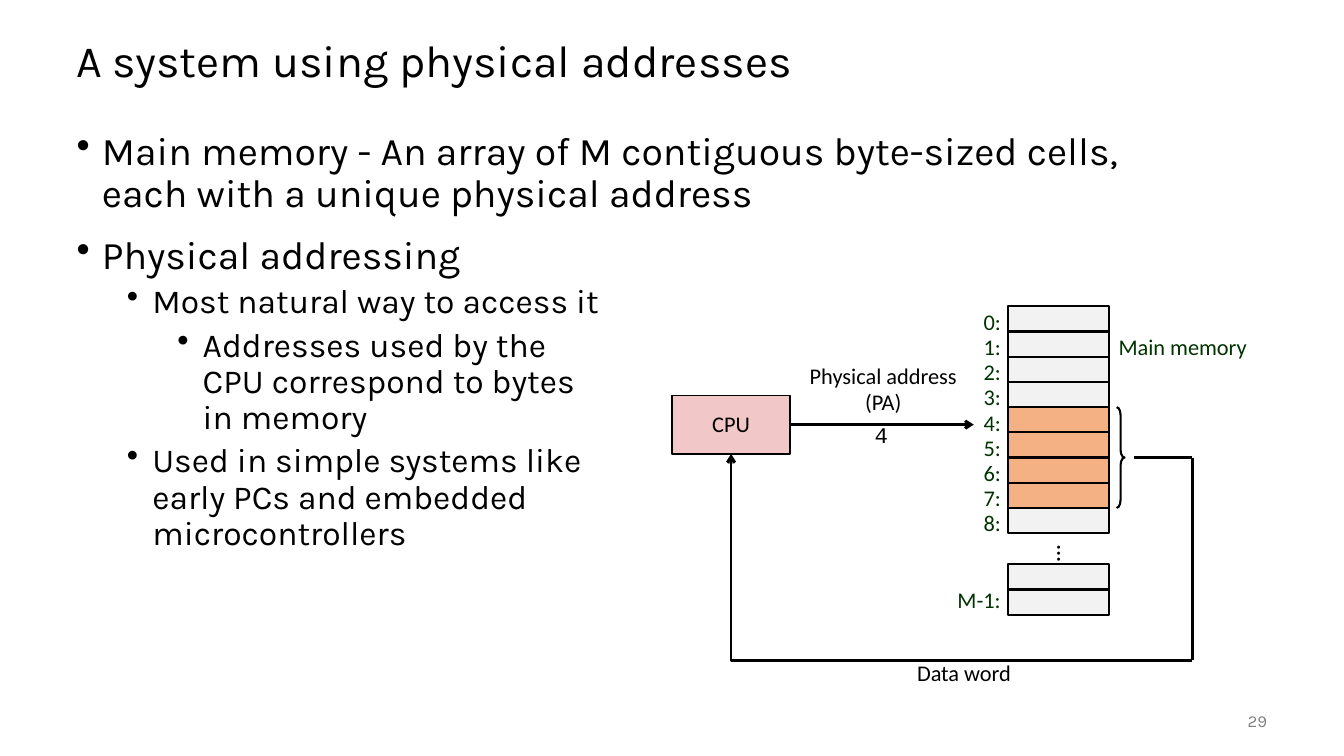
from dataclasses import dataclass

from lxml.etree import SubElement
from pptx import Presentation
from pptx.dml.color import RGBColor
from pptx.enum.shapes import MSO_CONNECTOR as Link, MSO_SHAPE as Shape
from pptx.enum.text import MSO_ANCHOR as Anchor, PP_ALIGN as Align
from pptx.oxml.ns import qn
from pptx.util import Cm, Pt


@dataclass(frozen=True)
class Theme:
    black: str = "000000"
    address: str = "003300"
    cpu: str = "F1C7C7"
    cell: str = "F2F2F2"
    word: str = "F4B183"
    muted: str = "808080"
    text_font: str = "Karla"
    label_font: str = "Calibri"
    digit_font: str = "Courier New"
    title: int = 32
    body: tuple = (28, 24, 24)
    label: int = 16
    dots: int = 18
    footer: int = 12


THEME = Theme()
CELL_W = Cm(2.54)
CELL_H = Cm(2.54) // 4
MEMORY_X, MEMORY_Y = Cm(25.4), Cm(7.72)
LAST_CELLS_Y = Cm(14.22)
WORD_CELLS = range(4, 8)
BULLETS = [
    (0, "Main memory - An array of M contiguous byte-sized cells, "
        "each with a unique physical address"),
    (0, "Physical addressing"),
    (1, "Most natural way to access it"),
    (2, "Addresses used by the\nCPU correspond to bytes\nin memory"),
    (1, "Used in simple systems like\nearly PCs and embedded\nmicrocontrollers"),
]


def apply(target, values):
    for name, value in values.items():
        setattr(target, name, value)


def write(paragraph, text, size, font, color=THEME.black, **layout):
    paragraph.text = text
    apply(paragraph, layout)
    for run in paragraph.runs:
        apply(run.font, {"size": Pt(size), "name": font})
        run.font.color.rgb = RGBColor.from_string(color)


def add_text(slide, box, text, size=THEME.label, font=THEME.label_font,
             color=THEME.black, wrap=False, anchor=Anchor.MIDDLE, **layout):
    frame = slide.shapes.add_textbox(*box).text_frame
    apply(frame, {"word_wrap": wrap, "vertical_anchor": anchor})
    for i, line in enumerate(text.split("\n")):
        paragraph = frame.add_paragraph() if i else frame.paragraphs[0]
        write(paragraph, line, size, font, color, **layout)
    return frame


def add_bullets(slide, box):
    frame = slide.shapes.add_textbox(*box).text_frame
    frame.word_wrap = True
    for i, (level, text) in enumerate(BULLETS):
        paragraph = frame.add_paragraph() if i else frame.paragraphs[0]
        properties = paragraph._p.get_or_add_pPr()
        properties.set("marL", str(Cm(0.64 + 1.27 * level)))
        properties.set("indent", str(-Cm(0.64)))
        SubElement(properties, qn("a:buChar"), char="•")
        before = 0 if i == 0 else 5 if level else 14
        write(paragraph, text, THEME.body[level], THEME.text_font,
              level=level, line_spacing=0.9, space_before=Pt(before))


def add_outlined(slide, kind, box, fill=None, width=1.5):
    shape = slide.shapes.add_shape(kind, *box)
    shape.shadow.inherit = False
    if fill:
        shape.fill.solid()
        shape.fill.fore_color.rgb = RGBColor.from_string(fill)
    else:
        shape.fill.background()
    shape.line.color.rgb = RGBColor.from_string(THEME.black)
    shape.line.width = Pt(width)
    return shape


def add_link(slide, start, end, kind=Link.STRAIGHT, arrow=False):
    link = slide.shapes.add_connector(kind, *start, *end)
    link.line.color.rgb = RGBColor.from_string(THEME.black)
    link.line.width = Pt(2)
    SubElement(link._element.spPr, qn("a:effectLst"))
    if arrow:
        SubElement(link.line._get_or_add_ln(), qn("a:tailEnd"), type="arrow")
    return link


def turn_at_end(elbow):
    """Move the upright part of an elbow connector to its end."""
    geometry = elbow._element.spPr.find(qn("a:prstGeom"))
    guides = geometry.find(qn("a:avLst"))
    if guides is None:
        guides = SubElement(geometry, qn("a:avLst"))
    SubElement(guides, qn("a:gd"), name="adj1", fmla="val 100000")


def add_address(slide, left, top, width, text):
    add_text(slide, (left, top, width, Cm(0.84)), text, color=THEME.address,
             anchor=Anchor.TOP, line_spacing=0.88)


def add_memory(slide):
    for i in range(9):
        top = MEMORY_Y + i * CELL_H
        fill = THEME.word if i in WORD_CELLS else THEME.cell
        add_outlined(slide, Shape.RECTANGLE, (MEMORY_X, top, CELL_W, CELL_H), fill)
        add_address(slide, Cm(24.54), top, Cm(0.94), f"{i}:")
    for i in range(2):
        top = LAST_CELLS_Y + i * CELL_H
        add_outlined(slide, Shape.RECTANGLE, (MEMORY_X, top, CELL_W, CELL_H), THEME.cell)
    add_address(slide, Cm(23.88), Cm(14.73), Cm(1.63), "M-1:")
    add_address(slide, Cm(27.94), MEMORY_Y + CELL_H, Cm(3.86), "Main memory")

    dots = add_text(slide, (Cm(25.6), Cm(13.46), CELL_W, CELL_H), "...", THEME.dots,
                    alignment=Align.CENTER, line_spacing=0.98)
    dots._txBody.bodyPr.set("vert", "eaVert")

    word_top = MEMORY_Y + WORD_CELLS[0] * CELL_H
    brace = add_outlined(slide, Shape.RIGHT_BRACE,
                         (Cm(28.14), word_top, Cm(0.2), len(WORD_CELLS) * CELL_H))
    brace.adjustments[0] = 1


def add_cpu(slide):
    cpu = add_outlined(slide, Shape.RECTANGLE,
                       (Cm(16.94), Cm(9.96), Cm(2.97), Cm(1.48)), THEME.cpu, 1)
    apply(cpu.text_frame, {"word_wrap": False, "vertical_anchor": Anchor.MIDDLE})
    write(cpu.text_frame.paragraphs[0], "CPU", THEME.label, THEME.label_font,
          alignment=Align.CENTER, line_spacing=0.98)
    return cpu


def add_buses(slide, cpu):
    middle = cpu.top + cpu.height // 2
    address_bus = add_link(slide, (cpu.left + cpu.width, middle),
                           (Cm(24.54), middle), arrow=True)
    address_bus.begin_connect(cpu, 3)

    word_middle = MEMORY_Y + 6 * CELL_H
    corner, bottom = Cm(30.05), Cm(16.64)
    add_link(slide, (Cm(28.58), word_middle), (corner, word_middle))
    add_link(slide, (corner, word_middle), (corner, bottom))
    data_bus = add_link(slide, (corner, bottom),
                        (cpu.left + cpu.width // 2, cpu.top + cpu.height),
                        Link.ELBOW, arrow=True)
    turn_at_end(data_bus)

    centred = {"alignment": Align.CENTER, "line_spacing": 0.98}
    add_text(slide, (Cm(20.09), Cm(9.02), Cm(4.34), Cm(1.6)),
             "Physical address\n(PA)", **centred)
    add_text(slide, (Cm(22.81), Cm(16.51), Cm(2.97), Cm(0.94)), "Data word", **centred)
    add_text(slide, (Cm(21.79), Cm(10.49), Cm(0.86), Cm(0.94)), "4",
             font=THEME.digit_font, anchor=Anchor.TOP)


def main():
    deck = Presentation()
    apply(deck, {"slide_width": Cm(33.87), "slide_height": Cm(19.05)})
    slide = deck.slides.add_slide(deck.slide_layouts[6])
    add_text(slide, (Cm(1.68), Cm(0.64), Cm(30.48), Cm(1.9)),
             "A system using physical addresses", THEME.title, THEME.text_font,
             wrap=True, line_spacing=0.9)
    add_bullets(slide, (Cm(1.68), Cm(3.18), Cm(27.94), Cm(14.48)))
    add_memory(slide)
    add_buses(slide, add_cpu(slide))
    add_text(slide, (Cm(29.64), Cm(17.65), Cm(2.54), Cm(1.02)), "29", THEME.footer,
             THEME.text_font, THEME.muted, wrap=True, alignment=Align.RIGHT)
    deck.save("out.pptx")


if __name__ == "__main__":
    main()
